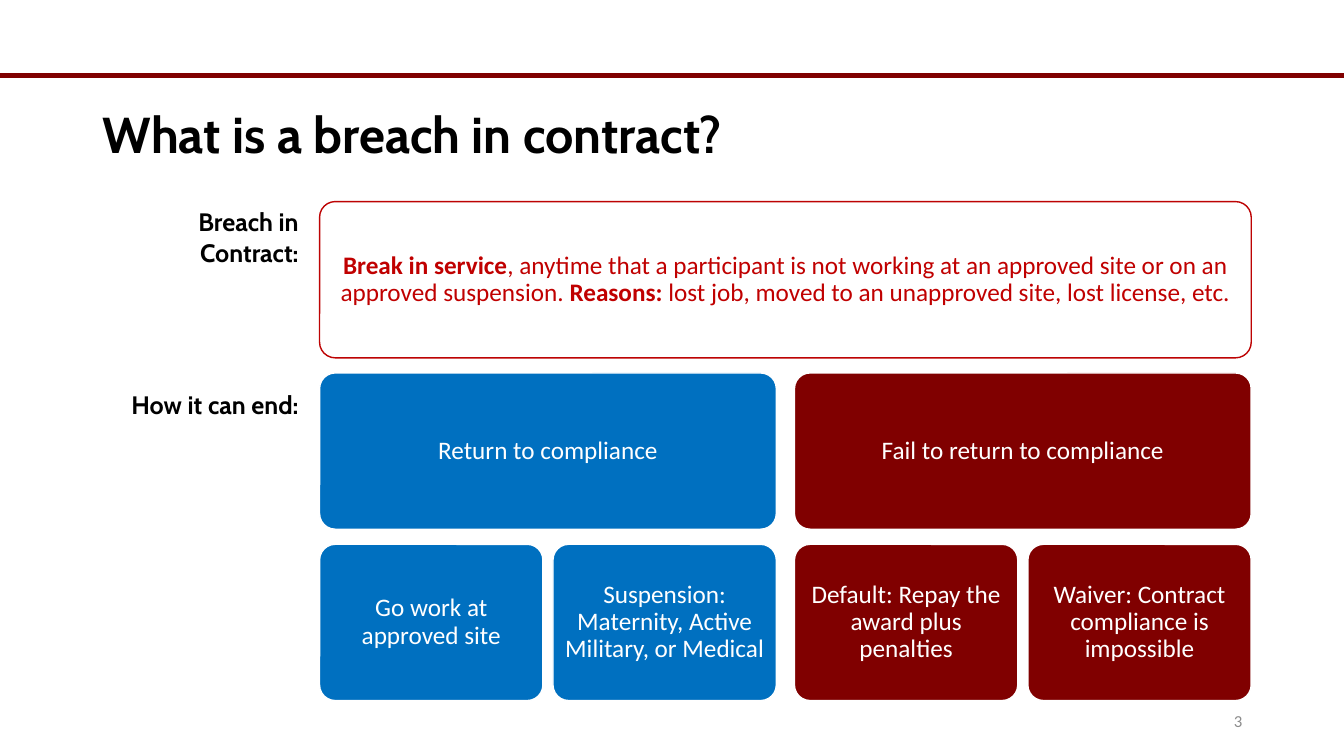
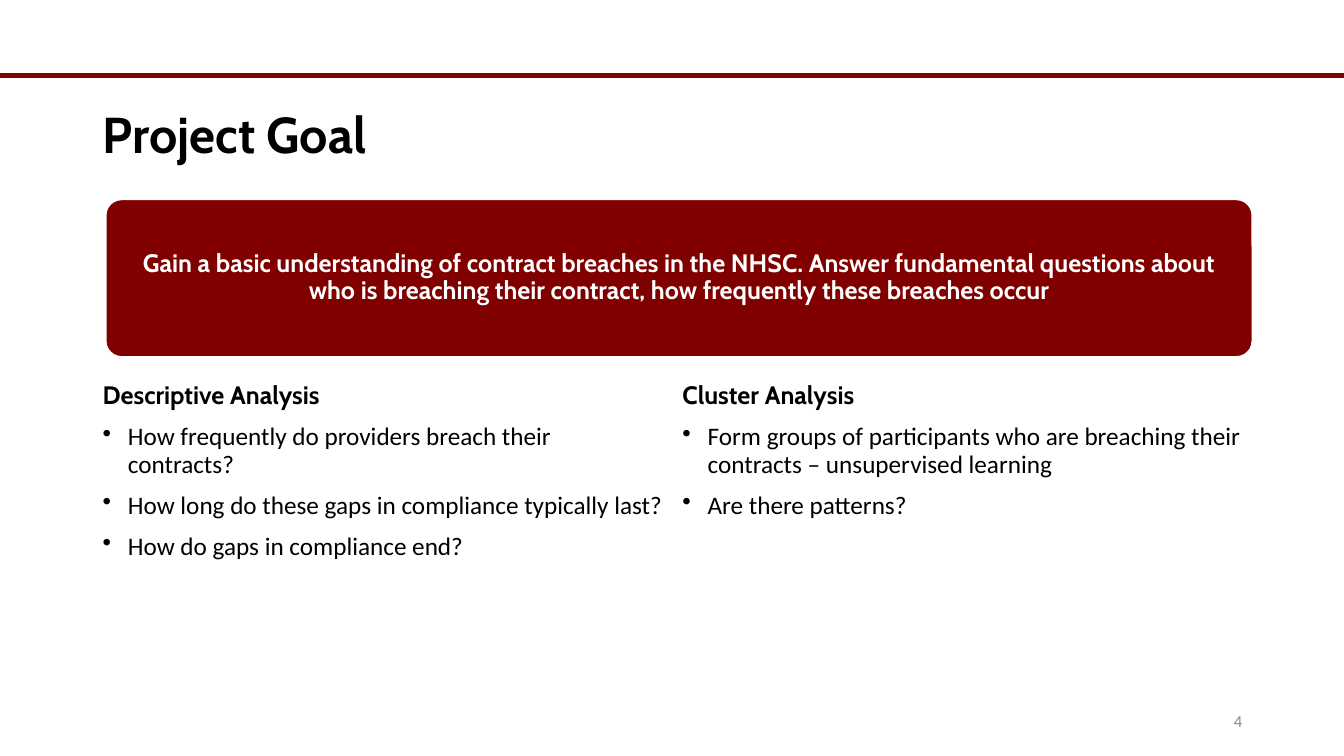
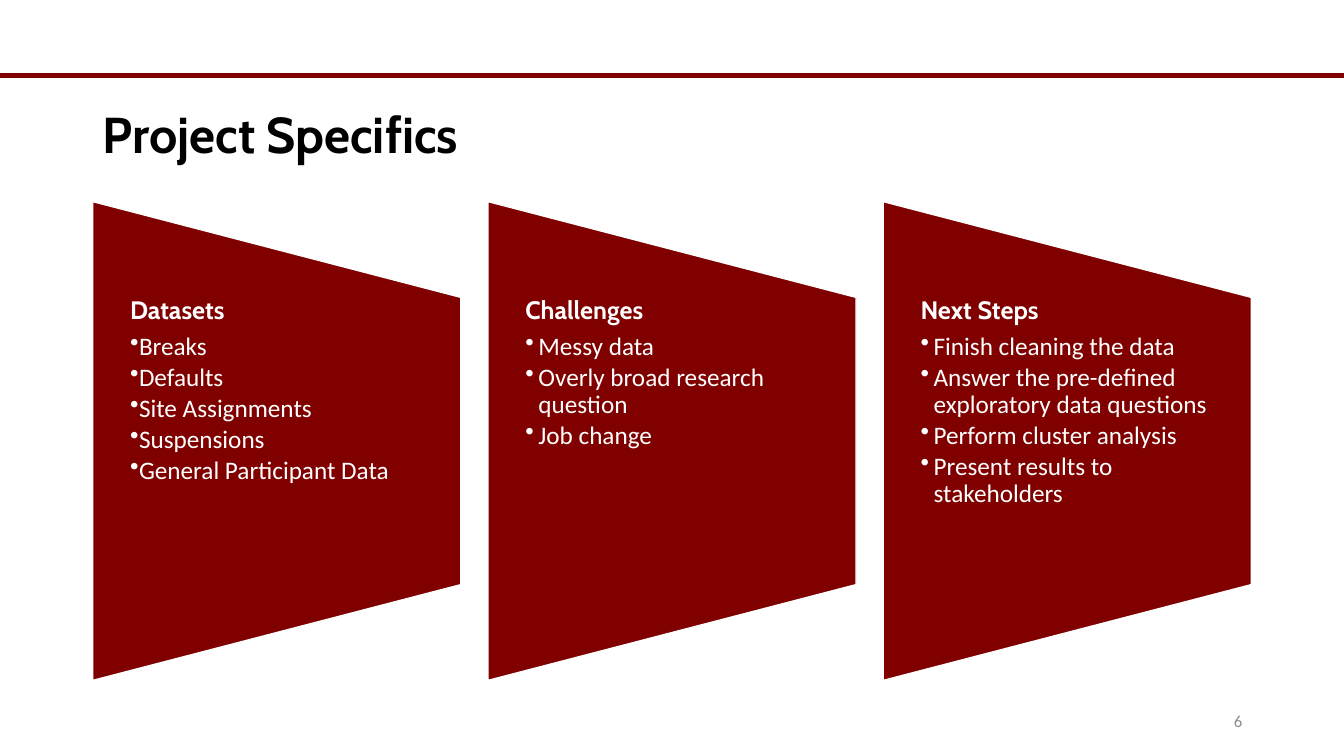
from pptx import Presentation
from pptx.dml.color import RGBColor
from pptx.enum import shapes, text
from pptx.oxml import ns
from pptx.util import Inches, Pt
from lxml import etree

# Shared look
MAROON = RGBColor(0x80, 0x00, 0x00)
BLUE = RGBColor(0x00, 0x70, 0xC0)
RED = RGBColor(0xC0, 0x00, 0x00)
EDGE = RGBColor(0xBD, 0x03, 0x03)
BLACK = RGBColor(0x00, 0x00, 0x00)
WHITE = RGBColor(0xFF, 0xFF, 0xFF)
GREY = RGBColor(0x8C, 0x8C, 0x8C)
HEAD, BODY = "Cabin", "Calibri"
LEFT, MID, RIGHT = text.PP_ALIGN.LEFT, text.PP_ALIGN.CENTER, text.PP_ALIGN.RIGHT
SHAPE = shapes.MSO_SHAPE

deck = Presentation()
deck.slide_width, deck.slide_height = Inches(13.33), Inches(7.5)


# Text helpers
def style(para, color, font=BODY, size=18, bold=False, align=LEFT,
          line=0.9, before=0, after=0):
    para.alignment, para.line_spacing = align, line
    para.space_before, para.space_after = Pt(before), Pt(after)
    for run in para.runs:
        run.font.name, run.font.size = font, Pt(size)
        run.font.bold, run.font.color.rgb = bold, color


def indent(para, left, first=0, mark=None):
    props = para._p.get_or_add_pPr()
    props.set("marL", str(Inches(left)))
    props.set("indent", str(Inches(first)))
    if mark:
        etree.SubElement(props, ns.qn("a:buChar")).set("char", mark)


def frame(slide, x, y, w, h, middle=False):
    box = slide.shapes.add_textbox(Inches(x), Inches(y), Inches(w), Inches(h))
    body = box.text_frame
    body.word_wrap = True
    if middle:
        body.vertical_anchor = text.MSO_ANCHOR.MIDDLE
    return body


def paint(shape, fill, edge):
    shape.shadow.inherit = False
    if fill is None:
        shape.fill.background()
    else:
        shape.fill.solid()
        shape.fill.fore_color.rgb = fill
    shape.line.color.rgb, shape.line.width = edge, Pt(1)


# Rounded box with centred text; parts are (words, bold) pairs
def card(slide, x, y, w, h, parts, fill, edge=WHITE, color=WHITE,
         font=BODY, pad=0.07):
    box = slide.shapes.add_shape(SHAPE.ROUNDED_RECTANGLE, Inches(x), Inches(y),
                                 Inches(w), Inches(h))
    box.adjustments[0] = 0.1
    paint(box, fill, edge)
    body = box.text_frame
    body.word_wrap = True
    body.vertical_anchor = text.MSO_ANCHOR.MIDDLE
    body.margin_left = body.margin_right = Inches(pad)
    body.margin_top = body.margin_bottom = Inches(0.07)
    para = body.paragraphs[0]
    for words, _ in parts:
        para.add_run().text = words
    style(para, color, font, align=MID)
    for run, (_, bold) in zip(para.runs, parts):
        run.font.bold = bold


# Rule, title and page number
def page(title, number):
    slide = deck.slides.add_slide(deck.slide_layouts[6])
    rule = slide.shapes.add_connector(shapes.MSO_CONNECTOR.STRAIGHT, 0,
                                      Inches(0.75), deck.slide_width, Inches(0.75))
    rule.line.color.rgb, rule.line.width = MAROON, Pt(3.75)
    etree.SubElement(rule._element.spPr, ns.qn("a:effectLst"))
    body = frame(slide, 0.92, 0.75, 11.5, 1.23, True)
    body.text = title
    style(body.paragraphs[0], BLACK, HEAD, 36, True)
    body = frame(slide, 9.42, 6.95, 3, 0.4, True)
    body.text = str(number)
    style(body.paragraphs[0], GREY, size=12, align=RIGHT, line=1)
    return slide


# Row labels beside the tree
def labels(slide, x, y, w, h):
    body = frame(slide, x, y, w, h)
    body.text = "Breach in Contract:\nHow it can end:"
    for para, gap in zip(body.paragraphs, (0, 87)):
        style(para, BLACK, HEAD, bold=True, align=RIGHT, line=1, before=gap)


# Tree: one root, two branches, two leaves under each
def tree(slide, x, y, w, root, limbs):
    tall, step, gap, slit = 1.55, 1.7, 0.18, 0.1
    half = (w - gap) / 2
    leaf = (half - slit) / 2
    card(slide, x, y, w, tall, root, None, EDGE, RED)
    for i, (name, fill, ends) in enumerate(limbs):
        left = x + i * (half + gap)
        card(slide, left, y + step, half, tall, [(name, False)], fill)
        for j, end in enumerate(ends):
            card(slide, left + j * (leaf + slit), y + 2 * step, leaf, tall,
                 [(end, False)], fill)


# Heading with bullets
def column(slide, x, y, w, h, head, items):
    body = frame(slide, x, y, w, h)
    body.text = "\n".join([head] + items)
    first, *rest = body.paragraphs
    style(first, BLACK, HEAD, bold=True, before=10)
    for para in rest:
        style(para, BLACK, before=10)
        indent(para, 0.25, -0.25, "•")


# Tapered panel: a shape turned on its side, with upright text over it
def panel(slide, x, y, w, h, head, items, hang):
    side = slide.shapes.add_shape(SHAPE.FLOWCHART_MANUAL_OPERATION,
                                  Inches(x + (w - h) / 2), Inches(y + (h - w) / 2),
                                  Inches(h), Inches(w))
    side.rotation = 270
    paint(side, MAROON, WHITE)
    body = frame(slide, x, y + h / 5, w, h * 3 / 5)
    body.margin_left = body.margin_right = Inches(0.12)
    body.margin_top = body.margin_bottom = 0
    body.text = "\n".join([head] + items)
    first, *rest = body.paragraphs
    style(first, WHITE, HEAD, bold=True, after=6.3)
    indent(first, 0.25)
    for para in rest:
        style(para, WHITE, after=2.7)
        indent(para, 0.25 + hang, -hang, "•")


# Breach slide
slide = page("What is a breach in contract?", 3)
tree(slide, 3.17, 2, 9.24, [
    ("Break in service", True),
    (", anytime that a participant is not working at an approved site "
     "or on an approved suspension. ", False),
    ("Reasons: ", True),
    ("lost job, moved to an unapproved site, lost license, etc.", False),
], [
    ("Return to compliance", BLUE,
     ["Go work at approved site",
      "Suspension: Maternity, Active Military, or Medical"]),
    ("Fail to return to compliance", MAROON,
     ["Default: Repay the award plus penalties",
      "Waiver: Contract compliance is impossible"]),
])
labels(slide, 0.92, 2, 2.14, 2.52)

# Goal slide
slide = page("Project Goal", 4)
goals = [
    ("Descriptive Analysis",
     ["How frequently do providers breach their contracts?",
      "How long do these gaps in compliance typically last?",
      "How do gaps in compliance end?"]),
    ("Cluster Analysis",
     ["Form groups of participants who are breaching their contracts "
      "– unsupervised learning",
      "Are there patterns?"]),
]
for i, (head, items) in enumerate(goals):
    column(slide, 0.92 + i * 5.75, 3.75, 5.75, 3, head, items)
card(slide, 1.05, 1.98, 11.37, 1.56, [
    ("Gain a basic understanding of contract breaches in the NHSC. Answer "
     "fundamental questions about who is breaching their contract, how "
     "frequently these breaches occur", True),
], MAROON, font=HEAD, pad=0.15)

# Specifics slide
slide = page("Project Specifics", 6)
panels = [
    ("Datasets", ["Breaks", "Defaults", "Site Assignments", "Suspensions",
                  "General Participant Data"], 0),
    ("Challenges", ["Messy data", "Overly broad research question",
                    "Job change"], 0.13),
    ("Next Steps", ["Finish cleaning the data",
                    "Answer the pre-defined exploratory data questions",
                    "Perform cluster analysis",
                    "Present results to stakeholders"], 0.13),
]
for i, (head, items, hang) in enumerate(panels):
    panel(slide, 0.92 + i * 3.92, 2, 3.65, 4.75, head, items, hang)

deck.save("out.pptx")
